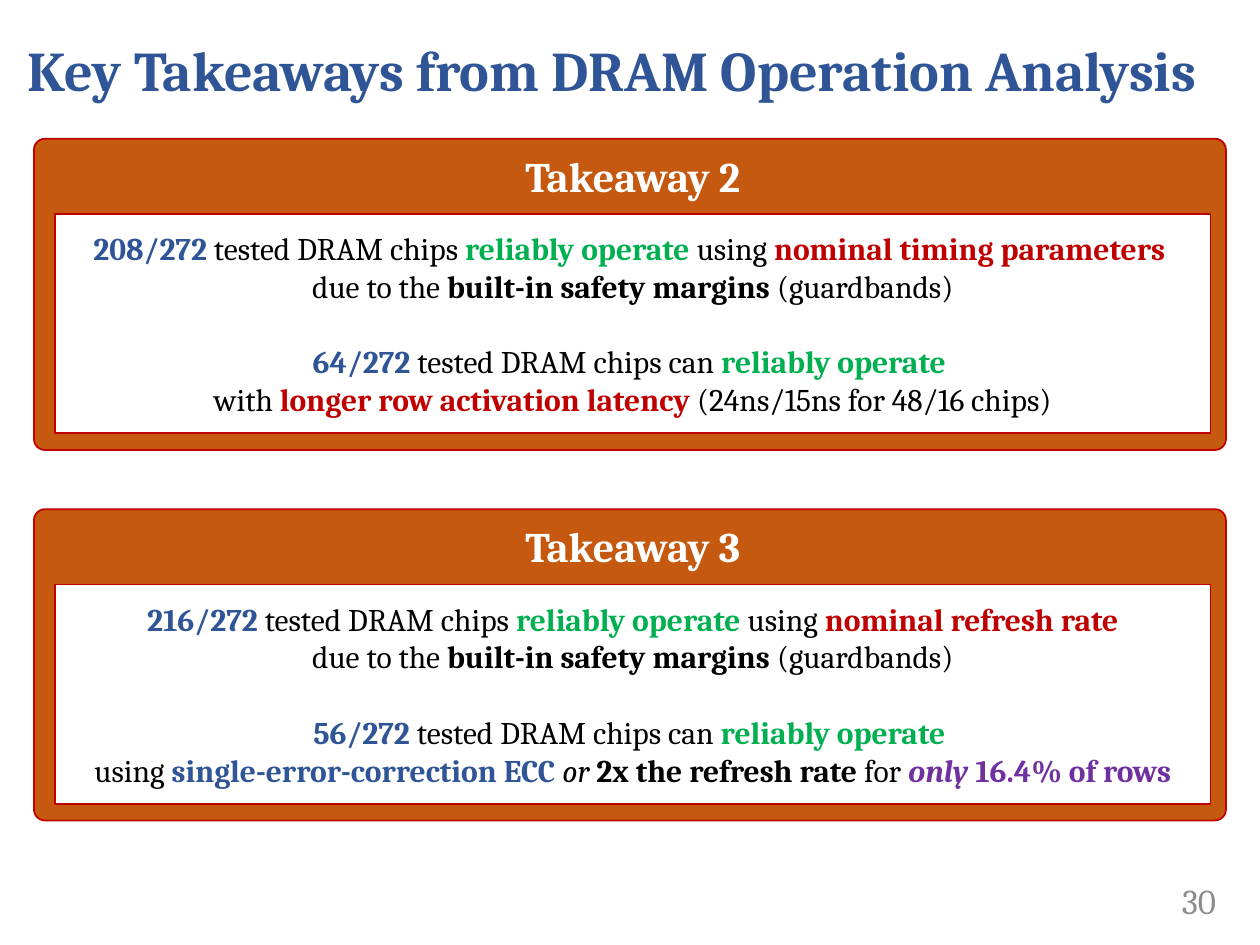
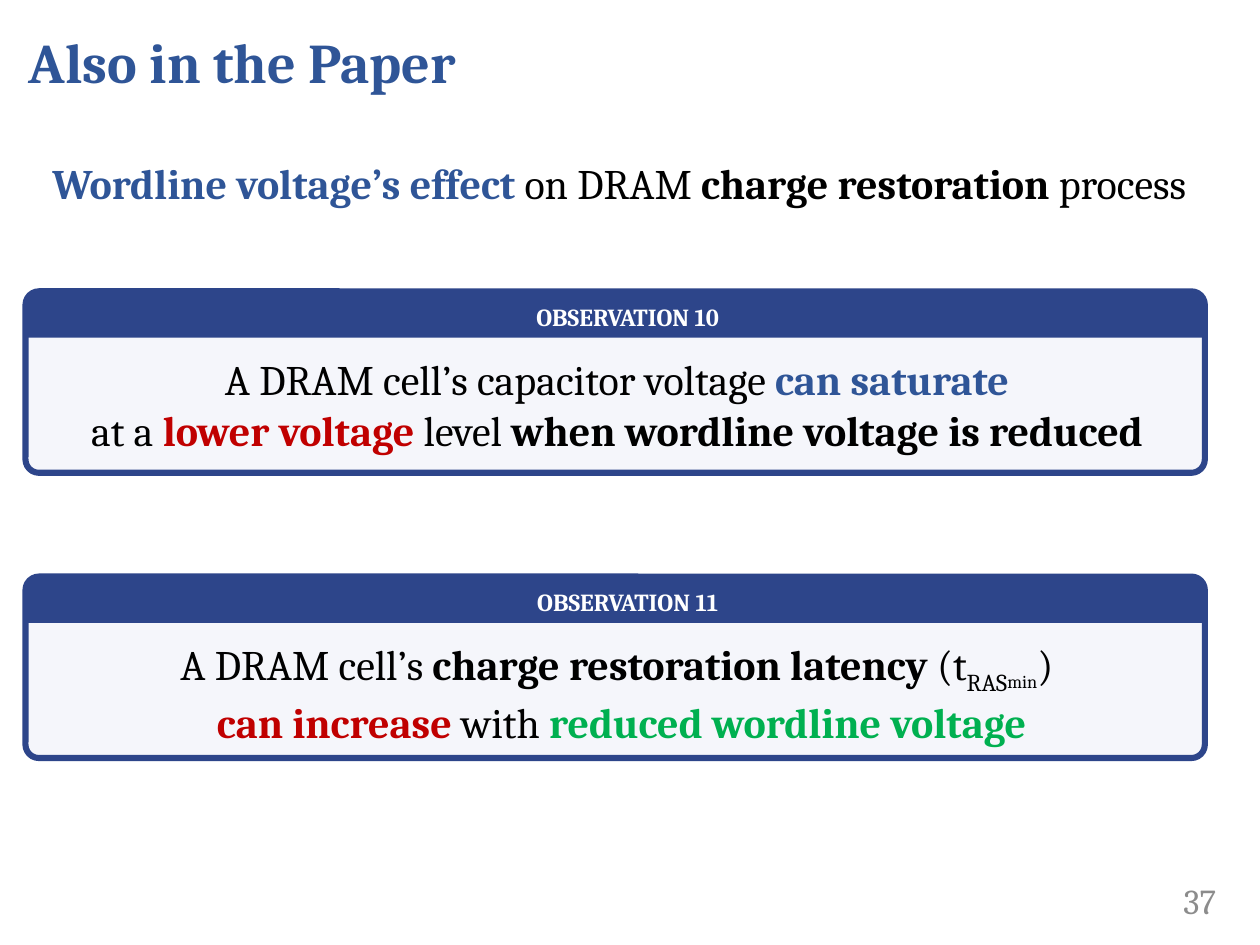
from dataclasses import dataclass

from pptx import Presentation
from pptx.dml.color import RGBColor
from pptx.enum.shapes import MSO_SHAPE
from pptx.enum.text import MSO_ANCHOR, MSO_AUTO_SIZE, PP_ALIGN
from pptx.util import Pt

ROUNDED = MSO_SHAPE.ROUNDED_RECTANGLE
ROUNDED_TOP = MSO_SHAPE.ROUND_2_SAME_RECTANGLE
RECTANGLE = MSO_SHAPE.RECTANGLE
TOP, MIDDLE = MSO_ANCHOR.TOP, MSO_ANCHOR.MIDDLE
LEFT, CENTER, RIGHT = PP_ALIGN.LEFT, PP_ALIGN.CENTER, PP_ALIGN.RIGHT
NO_FIT = MSO_AUTO_SIZE.NONE
TITLE_ONLY = 5


@dataclass(frozen=True)
class Theme:
    font: str = "Cambria"
    black: str = "000000"
    white: str = "FFFFFF"
    blue: str = "2F5597"
    green: str = "00B050"
    red: str = "C00000"
    purple: str = "7030A0"
    grey: str = "8C8C8C"
    orange: str = "C55910"
    navy: str = "2D458A"
    pale: str = "F5F6FB"
    title_size: float = 32
    large_size: float = 24
    number_size: float = 20
    body_size: float = 18
    label_size: float = 14


THEME = Theme()

PLAIN = {}
BOLD = {"bold": True}
ITALIC = {"italic": True}
BLUE = {"bold": True, "color": THEME.blue}
GREEN = {"bold": True, "color": THEME.green}
RED = {"bold": True, "color": THEME.red}
PURPLE = {"bold": True, "color": THEME.purple}
PURPLE_ITALIC = {**PURPLE, "italic": True}
SUBSCRIPT = {"baseline": -25000}
SMALL_SUBSCRIPT = {**SUBSCRIPT, "size": THEME.body_size}

MARGINS_LINE = [("due to the ", PLAIN), ("built-in safety margins ", BOLD), ("(guardbands)", PLAIN)]


def chips_line(count, verb):
    return [(f"{count}/272 ", BLUE), (f"tested DRAM chips {verb}", PLAIN), ("reliably operate ", GREEN)]


TAKEAWAYS = {
    "title": "Key Takeaways from DRAM Operation Analysis",
    "title_place": (8.64, 0, 711.36, 78.5),
    "number": "30",
    "cards": [
        ("Takeaway 2", [
            [chips_line(208, "") + [("using ", PLAIN), ("nominal timing parameters ", RED)],
             MARGINS_LINE],
            [chips_line(64, "can "),
             [("with ", PLAIN), ("longer row activation latency ", RED),
              ("(24ns/15ns for 48/16 chips)", PLAIN)]],
        ]),
        ("Takeaway 3", [
            [chips_line(216, "") + [("using ", PLAIN), ("nominal refresh rate", RED)],
             MARGINS_LINE],
            [chips_line(56, "can "),
             [("using ", PLAIN), ("single-error-correction ECC ", BLUE), ("or ", ITALIC),
              ("2x the refresh rate ", BOLD), ("for ", PLAIN),
              ("only ", PURPLE_ITALIC), ("16.4% of rows", PURPLE)]],
        ]),
    ],
}

OBSERVATIONS = {
    "title": "Also in the Paper",
    "title_place": (9.36, -10, 670.3, 90),
    "number": "37",
    "lead": [[[("Wordline voltage’s effect ", BLUE), ("on DRAM ", PLAIN),
               ("charge restoration", BOLD), (" process", PLAIN)]]],
    "cards": [
        ("OBSERVATION 10", [[
            [("A DRAM cell’s capacitor voltage ", PLAIN), ("can saturate ", BLUE)],
            [("at a ", PLAIN), ("lower voltage ", RED), ("level ", PLAIN),
             ("when wordline voltage is reduced ", BOLD)],
        ]]),
        ("OBSERVATION 11", [[
            [("A DRAM cell’s ", PLAIN), ("charge restoration latency ", BOLD), ("(t", PLAIN),
             ("RAS", SUBSCRIPT), ("min", SMALL_SUBSCRIPT), (") ", PLAIN)],
            [("can increase", RED), (" with ", PLAIN), ("reduced wordline voltage", GREEN)],
        ]]),
    ],
}


def points(*lengths):
    return [Pt(length) for length in lengths]


def add_run(paragraph, text, size, color, bold=False, italic=False, baseline=None):
    run = paragraph.add_run()
    run.text = text
    font = run.font
    font.name, font.size, font.bold, font.italic = THEME.font, Pt(size), bold, italic
    font.color.rgb = RGBColor.from_string(color)
    if baseline:
        run._r.get_or_add_rPr().set("baseline", str(baseline))


def write_text(shape, content, size=THEME.body_size, color=THEME.black, bold=False,
               align=CENTER, anchor=TOP, insets=(7.2, 3.6, 7.2, 3.6), gap=0, after=0):
    frame = shape.text_frame
    frame.word_wrap, frame.auto_size, frame.vertical_anchor = True, NO_FIT, anchor
    (frame.margin_left, frame.margin_top,
     frame.margin_right, frame.margin_bottom) = points(*insets)
    if isinstance(content, str):
        content = [[[(content, PLAIN)]]]
    for index, lines in enumerate(content):
        paragraph = frame.add_paragraph() if index else frame.paragraphs[0]
        paragraph.alignment = align
        paragraph.space_after = Pt(after)
        if index:
            paragraph.space_before = Pt(gap)
        for line_index, line in enumerate(lines):
            if line_index:
                paragraph.add_line_break()
            for text, style in line:
                add_run(paragraph, text, **{"size": size, "color": color, "bold": bold, **style})


def add_box(container, geometry, place, fill, line, line_width, adjustments=()):
    shape = container.shapes.add_shape(geometry, *points(*place))
    shape.shadow.inherit = False
    shape.fill.solid()
    shape.fill.fore_color.rgb = RGBColor.from_string(fill)
    shape.line.color.rgb = RGBColor.from_string(line)
    shape.line.width = Pt(line_width)
    for index, value in enumerate(adjustments):
        shape.adjustments[index] = value
    return shape


def add_text(container, place, content, **text_format):
    write_text(container.shapes.add_textbox(*points(*place)), content, **text_format)


def add_slide(presentation, content):
    slide = presentation.slides.add_slide(presentation.slide_layouts[TITLE_ONLY])
    title = slide.shapes.title
    title.left, title.top, title.width, title.height = points(*content["title_place"])
    write_text(title, content["title"], size=THEME.title_size, color=THEME.blue,
               bold=True, align=LEFT, anchor=MIDDLE, after=6)
    add_text(slide, (624.24, 500.4, 77.76, 28.8), content["number"],
             size=THEME.number_size, color=THEME.grey, align=RIGHT, anchor=MIDDLE)
    return slide


def add_takeaway(slide, top, heading, content):
    card = slide.shapes.add_group_shape()
    left, width = 31.5, 660.24
    add_box(card, ROUNDED, (19.44, top, 681.12, 177.84), THEME.orange, THEME.red, 1, (0.035,))
    body = add_box(card, RECTANGLE, (left, top + 43, width, 125.3), THEME.white, THEME.red, 1)
    write_text(body, content, anchor=MIDDLE, gap=21.5)
    add_text(card, (left, top + 2.9, width, 38), heading,
             size=THEME.large_size, color=THEME.white, bold=True)


def add_observation(slide, top, heading, content):
    card = slide.shapes.add_group_shape()
    left, width = 14.6, 673.9
    add_box(card, ROUNDED, (left, top, width, 103.7), THEME.pale, THEME.navy, 3.5, (0.074,))
    band = add_box(card, ROUNDED_TOP, (left, top, width, 26), THEME.navy, THEME.navy, 1, (0.337, 0))
    write_text(band, heading, size=THEME.label_size, color=THEME.white, bold=True,
               anchor=MIDDLE, insets=(14.4, 0, 0, 0))
    add_text(card, (left, top + 32, width, 65.5), content,
             size=THEME.large_size, insets=(14.4, 3.6, 7.2, 3.6))


def add_cards(slide, cards, add_card, first_top, pitch):
    for index, (heading, content) in enumerate(cards):
        add_card(slide, first_top + index * pitch, heading, content)


def main():
    presentation = Presentation()
    presentation.slide_width, presentation.slide_height = points(720, 540)

    slide = add_slide(presentation, TAKEAWAYS)
    add_cards(slide, TAKEAWAYS["cards"], add_takeaway, 79.3, 211.7)

    slide = add_slide(presentation, OBSERVATIONS)
    add_text(slide, (9.36, 86.4, 689, 36), OBSERVATIONS["lead"], size=THEME.large_size)
    add_cards(slide, OBSERVATIONS["cards"], add_observation, 166.5, 163)

    presentation.save("out.pptx")


if __name__ == "__main__":
    main()
